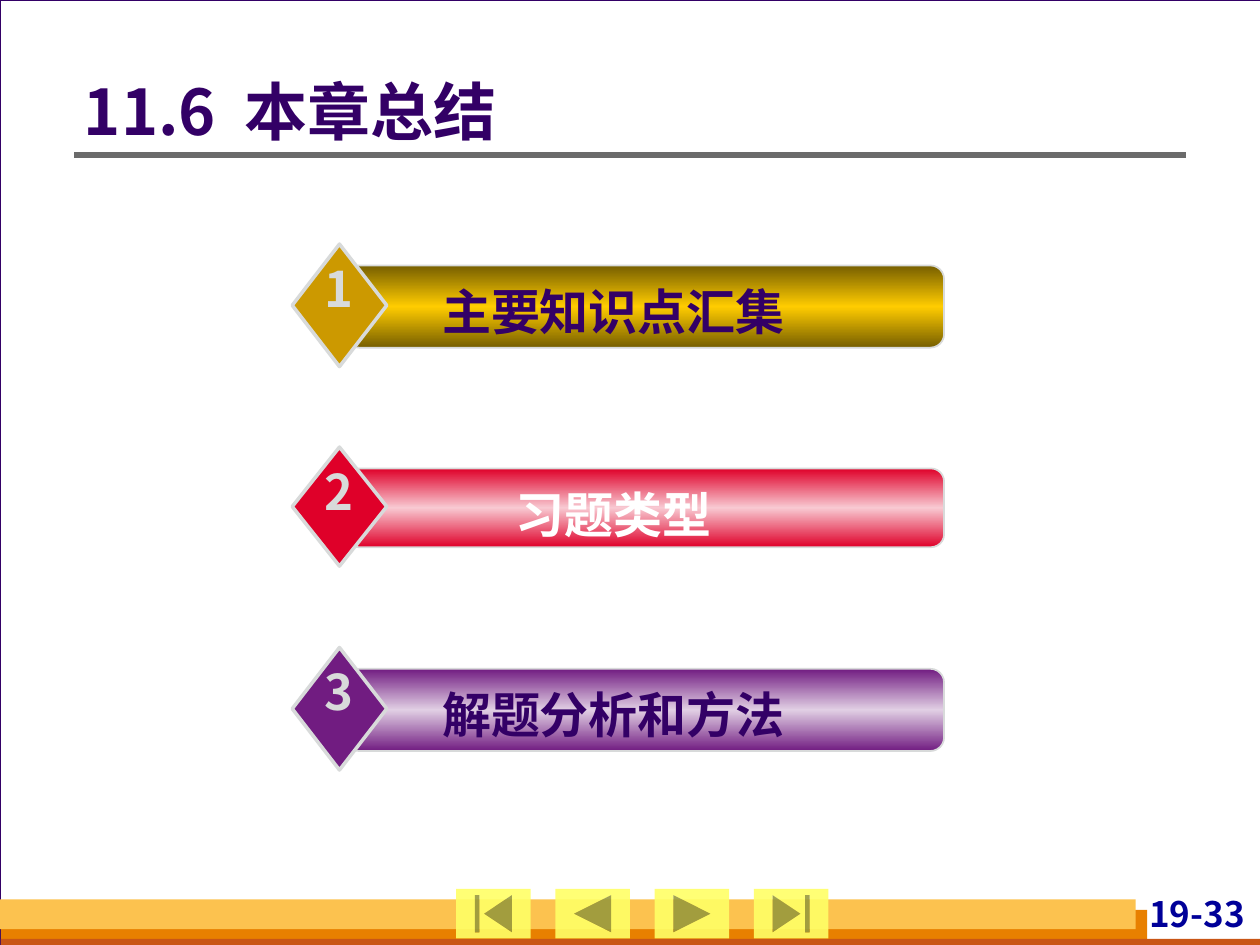
"""Build the chapter summary slide with three numbered topic bars."""
from copy import deepcopy

from lxml.etree import SubElement
from pptx import Presentation
from pptx.dml.color import RGBColor
from pptx.enum.shapes import MSO_CONNECTOR, MSO_SHAPE as SHAPE
from pptx.enum.text import MSO_ANCHOR, MSO_AUTO_SIZE, PP_ALIGN as ALIGN
from pptx.oxml.ns import qn
from pptx.util import Pt

FONT = "Noto Sans CJK SC"
COLORS = {
    "paper": "FFFFFF", "ink": "330066", "silver": "D8DADA", "rule": "6B6B6B",
    "amber": "FCC24F", "orange": "E88000", "rust": "C95616", "page": "000099",
    "button": "FFFF66", "gold": "CC9900", "bronze": "765E00", "yellow": "FFCC00",
    "red": "DF0029", "pink": "F8C9D2", "purple": "711C81", "lilac": "E1CFE4",
}
RGB = {name: RGBColor.from_string(value) for name, value in COLORS.items()}


def add_box(shapes, kind, place, fill=None, line=None, width=1):
    box = shapes.add_shape(kind, *map(Pt, place))
    box.shadow.inherit = False
    if fill:
        box.fill.solid()
        box.fill.fore_color.rgb = RGB[fill]
    if line:
        box.line.color.rgb = RGB[line]
        box.line.width = Pt(width)
    else:
        box.line.fill.background()
    return box


def write(box, texts, size, color, align, margins=(0, 0, 0, 0)):
    frame = box.text_frame
    settings = {"word_wrap": True, "auto_size": MSO_AUTO_SIZE.NONE,
                "vertical_anchor": MSO_ANCHOR.MIDDLE}
    sides = ("margin_left", "margin_top", "margin_right", "margin_bottom")
    settings.update(zip(sides, map(Pt, margins)))
    for name, value in settings.items():
        setattr(frame, name, value)
    paragraph = frame.paragraphs[0]
    paragraph.alignment = align
    for text in texts:
        run = paragraph.add_run()
        run.text = text
        for name, value in {"name": FONT, "size": Pt(size), "bold": True}.items():
            setattr(run.font, name, value)
        run.font.color.rgb = RGB[color]
        SubElement(run.font._element, qn("a:ea"), typeface=FONT)
    return paragraph


deck = Presentation()
deck.slide_width, deck.slide_height = Pt(720), Pt(540)
slide = deck.slides.add_slide(deck.slide_layouts[5])
shapes = slide.shapes
slide.background.fill.solid()
slide.background.fill.fore_color.rgb = RGB["silver"]

add_box(shapes, SHAPE.RECTANGLE, (0, 0, 720.5, 540), "paper", "ink", 0.75)
for place, color in [((0.5, 520, 655, 20), "orange"),
                     ((0.5, 536.5, 720, 5.5), "rust"),
                     ((0, 514, 649, 17), "amber")]:
    add_box(shapes, SHAPE.RECTANGLE, place, color)

page_number = shapes.add_textbox(*map(Pt, (626.5, 510, 88, 24)))
write(page_number, ["19-33"], 20, "page", ALIGN.RIGHT, (3, 0, 3, 0))

title_rule = shapes.add_connector(MSO_CONNECTOR.STRAIGHT, *map(Pt, (42.5, 88.5, 677.5, 88.5)))
title_rule.line.color.rgb = RGB["rule"]
title_rule.line.width = Pt(3)
SubElement(title_rule._element.spPr, qn("a:effectLst"))

buttons = [SHAPE.ACTION_BUTTON_BEGINNING, SHAPE.ACTION_BUTTON_BACK_OR_PREVIOUS,
           SHAPE.ACTION_BUTTON_FORWARD_OR_NEXT, SHAPE.ACTION_BUTTON_END]
for index, kind in enumerate(buttons):
    button = add_box(shapes, kind, (260.7 + 56.7 * index, 508, 42.5, 28.3), "button")
    button_color = button._element.spPr.find(".//" + qn("a:srgbClr"))
    SubElement(button_color, qn("a:alpha"), val="90000")

title = shapes.title
for name, value in {"left": 48, "top": 38, "width": 625, "height": 56}.items():
    setattr(title, name, Pt(value))
heading = write(title, ["11.6", " ", "本章总结"], 36, "ink", ALIGN.LEFT, (0, 3.6, 7.2, 3.6))
heading.line_spacing = 0.9
heading.runs[1].font._element.set("spc", "800")
shapes._spTree.append(title._element)

topics = [
    ("主要知识点汇集", 139.5, 70, "gold", "bronze", "yellow", "ink"),
    ("习题类型", 255.5, 68, "red", "red", "pink", "paper"),
    ("解题分析和方法", 370, 70, "purple", "purple", "lilac", "ink"),
]
for number, (label, top, height, badge, edge, glow, ink) in enumerate(topics, 1):
    topic = shapes.add_group_shape().shapes
    bar = add_box(topic, SHAPE.ROUNDED_RECTANGLE, (197.5, top + 12.2, 342, height - 23),
                  line="silver")
    bar.fill.gradient()
    bar.fill.gradient_angle = 90
    stop_list = bar._element.spPr.find(".//" + qn("a:gsLst"))
    stop_list.append(deepcopy(stop_list[-1]))
    for stop, position, color in zip(bar.fill.gradient_stops, (0, 0.5, 1), (edge, glow, edge)):
        stop.position = position
        stop.color.rgb = RGB[color]
    add_box(topic, SHAPE.DIAMOND, (167, top, 54, height), badge, "silver", 2)
    for text, left, drop, width, color in [(label, 215.5, 21.2, 270, ink),
                                           (str(number), 179.5, 8, 28.5, "silver")]:
        caption = topic.add_textbox(*map(Pt, (left, top + drop, width, 34)))
        write(caption, [text], 28, color, ALIGN.CENTER)

deck.save("out.pptx")
